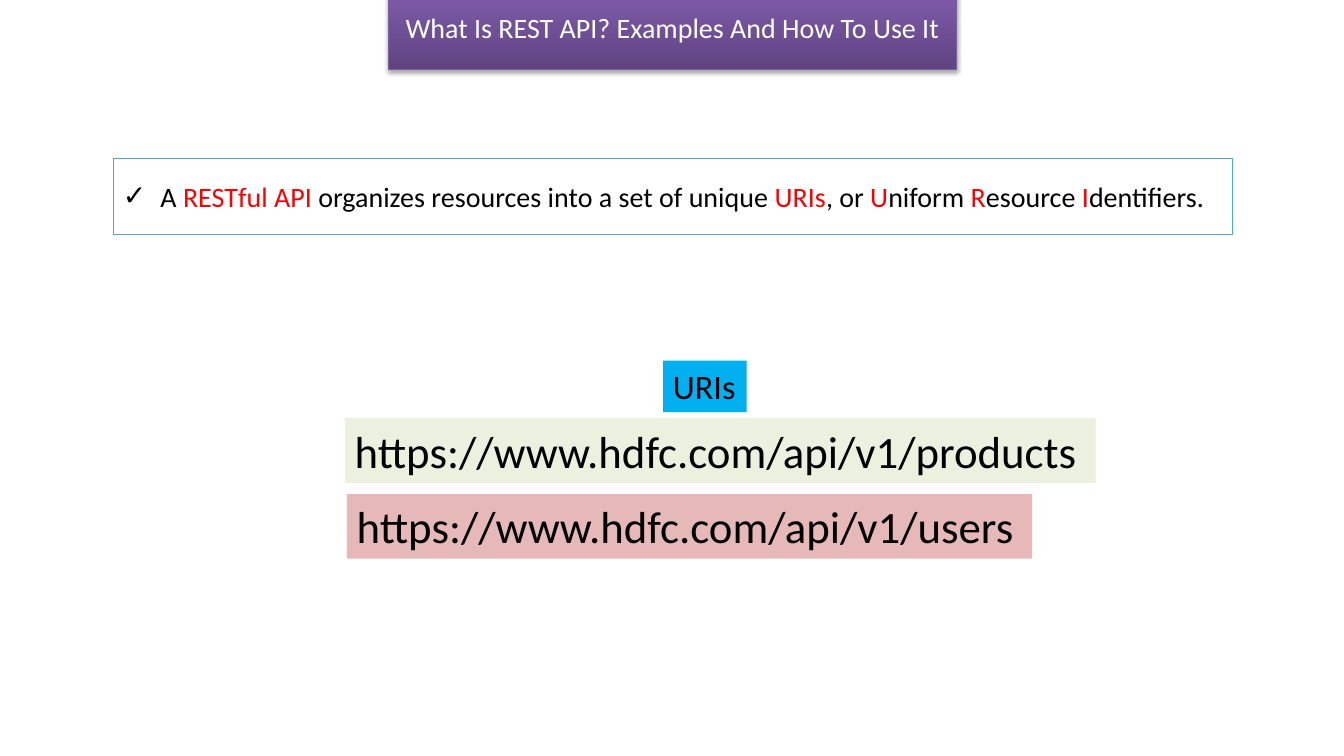
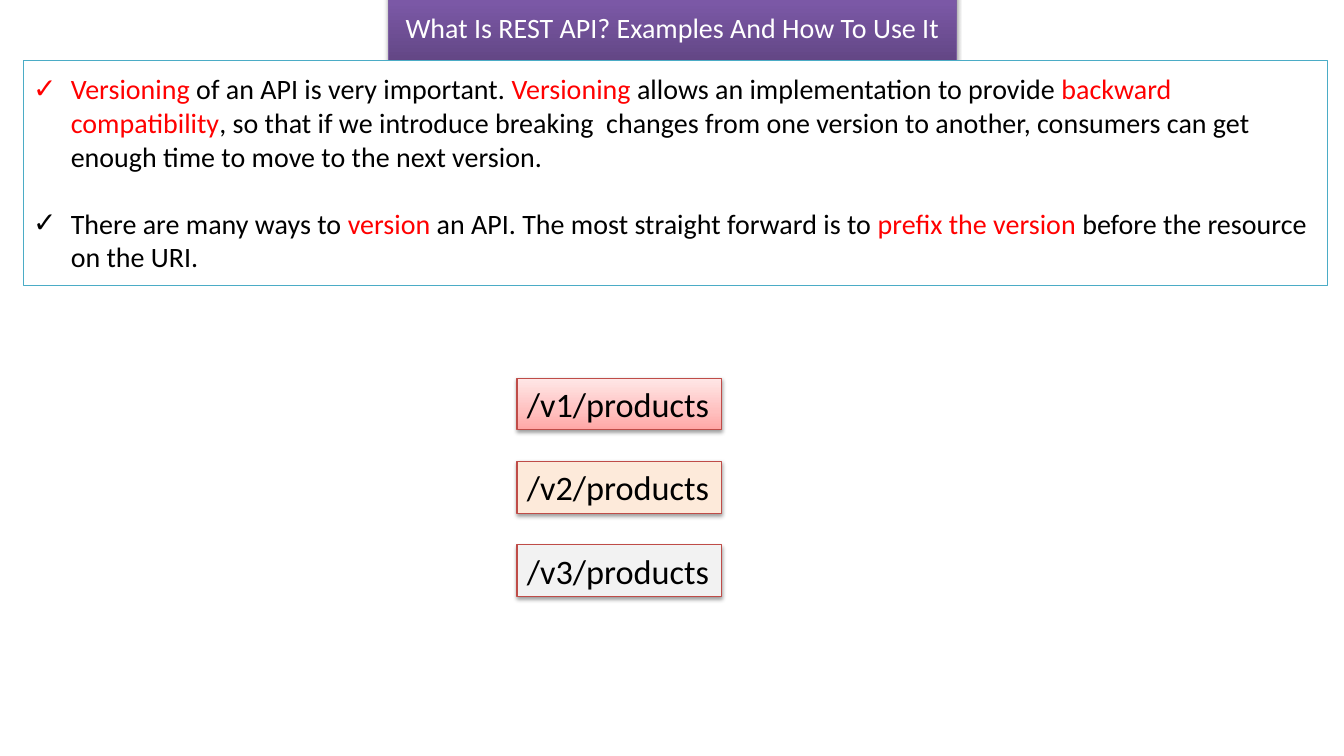
from dataclasses import dataclass
from typing import NamedTuple, Optional, Union

from lxml.etree import SubElement
from pptx import Presentation
from pptx.dml.color import RGBColor
from pptx.enum.text import MSO_ANCHOR, MSO_AUTO_SIZE, PP_ALIGN
from pptx.oxml.ns import qn
from pptx.shapes.autoshape import Shape
from pptx.slide import Slide, SlideLayout
from pptx.text.text import _Paragraph as Paragraph
from pptx.util import Cm, Length, Pt

BLACK = RGBColor(0x00, 0x00, 0x00)
WHITE = RGBColor(0xFF, 0xFF, 0xFF)
RED = RGBColor(0xFF, 0x00, 0x00)
TEAL = RGBColor(0x4B, 0xAC, 0xC6)
SKY = RGBColor(0x00, 0xB0, 0xF0)
PALE_GREEN = RGBColor(0xEB, 0xF1, 0xDE)
ROSE = RGBColor(0xE6, 0xB9, 0xB8)
PEACH = RGBColor(0xFD, 0xEA, 0xDA)
LIGHT_GREY = RGBColor(0xF2, 0xF2, 0xF2)
BRICK = RGBColor(0xBF, 0x4C, 0x48)
PURPLE_EDGE = RGBColor(0x7D, 0x60, 0xA0)
PURPLE_DARK = RGBColor(0x5F, 0x44, 0x80)
PURPLE_MID = RGBColor(0x7B, 0x58, 0xA6)
PURPLE_LIGHT = RGBColor(0x7C, 0x57, 0xA8)
PINK_DARK = RGBColor(0xFF, 0xA6, 0xA5)
PINK_MID = RGBColor(0xFF, 0xC0, 0xBF)
PINK_LIGHT = RGBColor(0xFF, 0xE7, 0xE7)

FONT = "Calibri"
HEADING = "What Is REST API? Examples And How To Use It"
TEXT_SIZE = Pt(20)
LABEL_SIZE = Pt(24.5)
URI_SIZE = Pt(32)
HANGING = Cm(0.95)


class Box(NamedTuple):
    left: Length
    top: Length
    width: Length
    height: Length


class Span(NamedTuple):
    text: str
    color: RGBColor = BLACK


class Gradient(NamedTuple):
    stops: list[tuple[int, RGBColor]]


class Shadow(NamedTuple):
    opacity: int
    blur: Length
    distance: Length


@dataclass(frozen=True)
class Look:
    fill: Union[RGBColor, Gradient]
    edge: Optional[RGBColor] = None
    edge_width: Length = Pt(0.75)
    shadow: Optional[Shadow] = None


@dataclass(frozen=True)
class Label:
    text: str
    box: Box
    look: Look
    size: Length = LABEL_SIZE


PURPLE_FADE = Gradient([(0, PURPLE_DARK), (80, PURPLE_MID), (100, PURPLE_LIGHT)])
PINK_FADE = Gradient([(0, PINK_DARK), (35, PINK_MID), (100, PINK_LIGHT)])
HEADING_BOX = Box(Cm(9.78), Cm(0.13), Cm(14.33), Cm(1.12))
HEADING_LOOK = Look(PURPLE_FADE, PURPLE_EDGE, shadow=Shadow(35, Pt(3.1), Pt(1.8)))
POINTS_LOOK = Look(WHITE, TEAL, Pt(0.25))
VERSION_SHADOW = Shadow(38, Pt(3.1), Pt(1.6))

URI_POINTS = [
    [
        Span("A "),
        Span("RESTful API ", RED),
        Span("organizes resources into a set of unique "),
        Span("URIs", RED),
        Span(", or "),
        Span("U", RED),
        Span("niform "),
        Span("R", RED),
        Span("esource "),
        Span("I", RED),
        Span("dentifiers."),
    ],
]
URI_LABELS = [
    Label("https://www.hdfc.com/api/v1/products",
          Box(Cm(8.69), Cm(10.54), Cm(18.92), Cm(1.63)), Look(PALE_GREEN), URI_SIZE),
    Label("https://www.hdfc.com/api/v1/users",
          Box(Cm(8.74), Cm(12.45), Cm(17.27), Cm(1.63)), Look(ROSE), URI_SIZE),
    Label("URIs", Box(Cm(16.71), Cm(9.09), Cm(2.11), Cm(1.3)), Look(SKY)),
]
VERSION_POINTS = [
    [
        Span("Versioning", RED),
        Span(" of an API is very important. "),
        Span("Versioning", RED),
        Span(" allows an implementation to provide "),
        Span("backward  compatibility", RED),
        Span(", so that if we introduce breaking  changes from one version to another, "
             "consumers can get enough time to move to the next version."),
    ],
    [
        Span("There are many ways to "),
        Span("version", RED),
        Span(" an API. The most straight forward is to "),
        Span("prefix the version ", RED),
        Span("before the resource on the URI."),
    ],
]
VERSION_LABELS = [
    Label(f"/v{row + 1}/products",
          Box(Cm(13.03), Cm(9.53 + 2.1 * row), Cm(5.16), Cm(1.3)),
          Look(fill, BRICK, shadow=VERSION_SHADOW))
    for row, fill in enumerate([PINK_FADE, PEACH, LIGHT_GREY])
]


def place(shape: Shape, box: Box) -> None:
    shape.left, shape.top, shape.width, shape.height = box


def add_color(parent, color: RGBColor):
    return SubElement(parent, qn("a:srgbClr"), val=str(color))


def apply_gradient(shape: Shape, gradient: Gradient) -> None:
    shape.fill.gradient()
    shape.fill.gradient_angle = 90
    stop_list = next(shape._element.spPr.iter(qn("a:gsLst")))
    for default_stop in list(stop_list):
        stop_list.remove(default_stop)
    for percent, color in gradient.stops:
        add_color(SubElement(stop_list, qn("a:gs"), pos=str(percent * 1000)), color)


def apply_shadow(shape: Shape, shadow: Shadow) -> None:
    effects = shape._element.spPr.find(qn("a:effectLst"))
    outer = SubElement(effects, qn("a:outerShdw"), blurRad=str(int(shadow.blur)),
                       dist=str(int(shadow.distance)), dir="5400000", rotWithShape="0")
    SubElement(add_color(outer, BLACK), qn("a:alpha"), val=str(shadow.opacity * 1000))


def apply_look(shape: Shape, look: Look) -> None:
    if isinstance(look.fill, Gradient):
        apply_gradient(shape, look.fill)
    else:
        shape.fill.solid()
        shape.fill.fore_color.rgb = look.fill
    if look.edge is None:
        shape.line.fill.background()
    else:
        shape.line.color.rgb = look.edge
        shape.line.width = look.edge_width
    shape.shadow.inherit = False
    if look.shadow is not None:
        apply_shadow(shape, look.shadow)


def add_span(paragraph: Paragraph, span: Span, size: Length) -> None:
    run = paragraph.add_run()
    run.text = span.text
    run.font.name = FONT
    run.font.size = size
    run.font.color.rgb = span.color


def add_check_mark(paragraph: Paragraph) -> None:
    properties = paragraph._p.get_or_add_pPr()
    properties.set("marL", str(int(HANGING)))
    properties.set("indent", str(-int(HANGING)))
    SubElement(properties, qn("a:buChar"), char="✓")


def draw_heading(slide: Slide) -> None:
    heading = slide.shapes.title
    place(heading, HEADING_BOX)
    apply_look(heading, HEADING_LOOK)
    frame = heading.text_frame
    frame.word_wrap = True
    frame.auto_size = MSO_AUTO_SIZE.SHAPE_TO_FIT_TEXT
    frame.paragraphs[0].alignment = PP_ALIGN.CENTER
    add_span(frame.paragraphs[0], Span(HEADING, WHITE), TEXT_SIZE)


def draw_points(slide: Slide, box: Box, points: list[list[Span]]) -> None:
    body = slide.placeholders[1]
    place(body, box)
    apply_look(body, POINTS_LOOK)
    frame = body.text_frame
    frame.word_wrap = True
    frame.auto_size = MSO_AUTO_SIZE.NONE
    frame.vertical_anchor = MSO_ANCHOR.MIDDLE
    for index, spans in enumerate(points):
        paragraph = frame.add_paragraph() if index else frame.paragraphs[0]
        add_check_mark(paragraph)
        paragraph.space_before = Pt(24 if index else 0)
        for span in spans:
            add_span(paragraph, span, TEXT_SIZE)


def draw_label(slide: Slide, label: Label) -> None:
    tag = slide.shapes.add_textbox(*label.box)
    apply_look(tag, label.look)
    frame = tag.text_frame
    frame.word_wrap = False
    frame.auto_size = MSO_AUTO_SIZE.SHAPE_TO_FIT_TEXT
    add_span(frame.paragraphs[0], Span(label.text), label.size)


def build_slide(deck, layout: SlideLayout, points_box: Box,
                points: list[list[Span]], labels: list[Label]) -> None:
    slide = deck.slides.add_slide(layout)
    draw_heading(slide)
    draw_points(slide, points_box, points)
    for label in labels:
        draw_label(slide, label)


def main() -> None:
    deck = Presentation()
    deck.slide_width, deck.slide_height = Cm(33.87), Cm(19.05)
    layout = deck.slide_layouts[1]
    build_slide(deck, layout, Box(Cm(2.84), Cm(3.99), Cm(28.22), Cm(1.91)),
                URI_POINTS, URI_LABELS)
    build_slide(deck, layout, Box(Cm(0.58), Cm(1.52), Cm(32.87), Cm(5.66)),
                VERSION_POINTS, VERSION_LABELS)
    deck.save("out.pptx")


if __name__ == "__main__":
    main()
